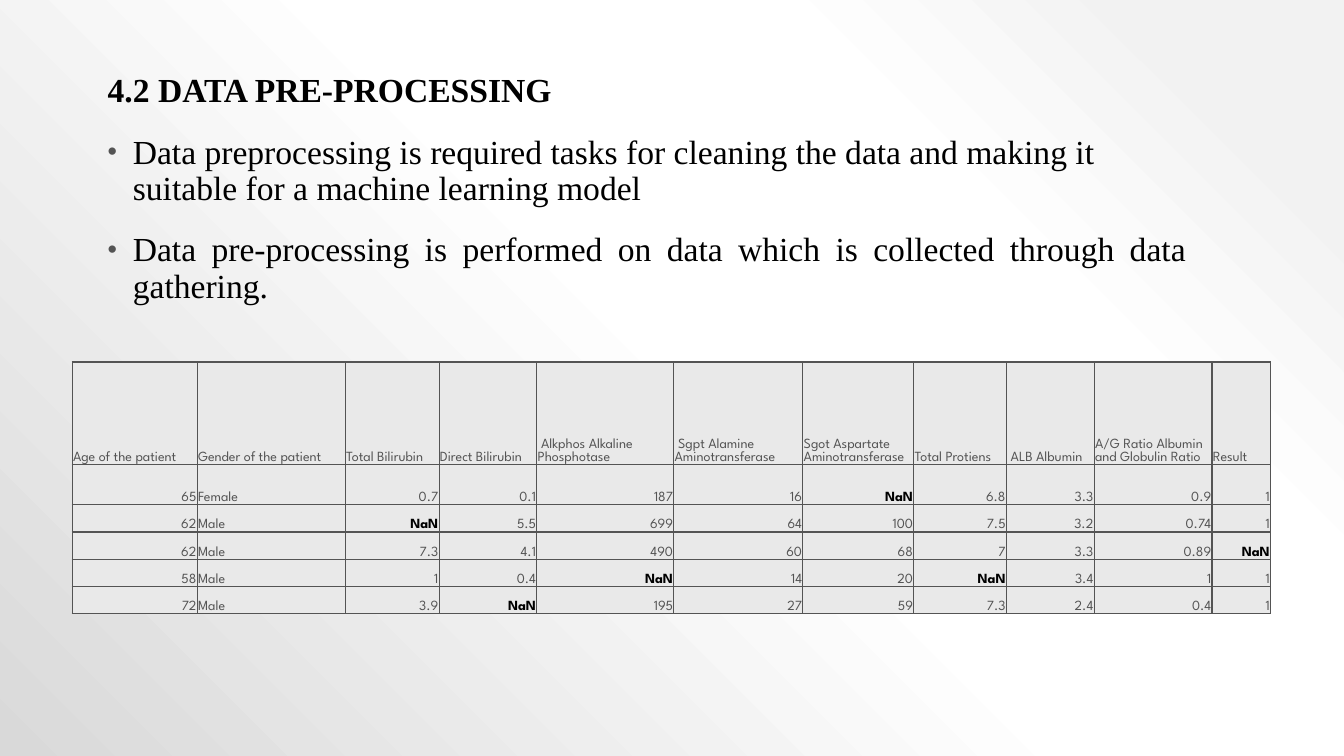
import pptx
import pptx.dml.color
import pptx.enum.text
import pptx.oxml
import pptx.oxml.ns
import pptx.util

Pt = pptx.util.Pt
ALIGN = pptx.enum.text.PP_ALIGN
NAMESPACES = pptx.oxml.ns.nsdecls("a", "p")

BLACK, GREY, CELL_FILL = "000000", "545454", "E9E9E9"
BODY_FONT, TABLE_FONT = "Times New Roman", "League Spartan"
BACKGROUND_STOPS = [(10, "F2F2F2"), (28, "FFFFFF"), (48, "FFFFFF"), (100, "D9D9D9")]

HEADING = "4.2 DATA PRE-PROCESSING"
BULLETS = [
    ("Data preprocessing is required tasks for cleaning the data and making it "
     "suitable for a machine learning model", ALIGN.LEFT),
    ("Data pre-processing is performed on data which is collected through data "
     "gathering.", ALIGN.JUSTIFY),
]
COLUMNS = [
    ("Age of the patient", 89.3), ("Gender of the patient", 105.8),
    ("Total Bilirubin", 67), ("Direct Bilirubin", 69.8),
    (" Alkphos Alkaline Phosphotase", 97.9),
    (" Sgpt Alamine Aminotransferase", 92.2),
    ("Sgot Aspartate Aminotransferase", 79.2), ("Total Protiens", 66.2),
    (" ALB Albumin", 62.7), ("A/G Ratio Albumin and Globulin Ratio", 84.2),
    ("Result", 41.8),
]
PATIENTS = [
    ("65", "Female", "0.7", "0.1", "187", "16", "NaN", "6.8", "3.3", "0.9", "1"),
    ("62", "Male", "NaN", "5.5", "699", "64", "100", "7.5", "3.2", "0.74", "1"),
    ("62", "Male", "7.3", "4.1", "490", "60", "68", "7", "3.3", "0.89", "NaN"),
    ("58", "Male", "1", "0.4", "NaN", "14", "20", "NaN", "3.4", "1", "1"),
    ("72", "Male", "3.9", "NaN", "195", "27", "59", "7.3", "2.4", "0.4", "1"),
]
ROW_HEIGHTS = [73.2, 28.8] + [19.4] * 4
GENDER_COLUMN = 1


def color(value):
    return pptx.dml.color.RGBColor.from_string(value)


def add_run(paragraph, text, font, size, fill, bold=False):
    run = paragraph.add_run()
    run.text = text
    run.font.name = font
    run.font.size = Pt(size)
    run.font.color.rgb = color(fill)
    run.font.bold = bold


def set_background(slide):
    stops = "".join(
        f'<a:gs pos="{position * 1000}"><a:srgbClr val="{value}"/></a:gs>'
        for position, value in BACKGROUND_STOPS)
    background = pptx.oxml.parse_xml(
        f'<p:bg {NAMESPACES}><p:bgPr><a:gradFill rotWithShape="1">'
        f'<a:gsLst>{stops}</a:gsLst><a:path path="circle">'
        '<a:fillToRect l="100000" b="100000"/></a:path></a:gradFill>'
        '<a:effectLst/></p:bgPr></p:bg>')
    slide.element.cSld.insert(0, background)


def indent(paragraph, left, first):
    properties = paragraph._p.get_or_add_pPr()
    properties.set("marL", str(Pt(left)))
    properties.set("indent", str(Pt(first)))
    paragraph.line_spacing = 0.9
    paragraph.space_before = Pt(18)
    return properties


def add_bullet(properties):
    for markup in (f'<a:buClr {NAMESPACES}><a:srgbClr val="{GREY}"/></a:buClr>',
                   f'<a:buSzPct {NAMESPACES} val="80000"/>',
                   f'<a:buFont {NAMESPACES} typeface="Arial"/>',
                   f'<a:buChar {NAMESPACES} char="•"/>'):
        properties.append(pptx.oxml.parse_xml(markup))


def add_body(slide):
    frame = slide.shapes.add_textbox(Pt(66.2), Pt(49), Pt(788.4), Pt(481.7)).text_frame
    frame.word_wrap = True
    heading = frame.paragraphs[0]
    indent(heading, 3.6, 0)
    add_run(heading, HEADING, BODY_FONT, 24, BLACK, True)
    for text, alignment in BULLETS:
        paragraph = frame.add_paragraph()
        paragraph.alignment = alignment
        add_bullet(indent(paragraph, 21.6, -18))
        add_run(paragraph, text, BODY_FONT, 24, BLACK)


def fill_cell(cell, text, alignment):
    cell.vertical_anchor = pptx.enum.text.MSO_ANCHOR.BOTTOM
    cell.margin_left = cell.margin_right = cell.margin_top = Pt(0.6)
    cell.margin_bottom = Pt(0)
    properties = cell._tc.get_or_add_tcPr()
    for side in "LRTB":
        properties.append(pptx.oxml.parse_xml(
            f'<a:ln{side} {NAMESPACES} w="{Pt(1)}"><a:solidFill>'
            f'<a:srgbClr val="{GREY}"/></a:solidFill></a:ln{side}>'))
    cell.fill.solid()
    cell.fill.fore_color.rgb = color(CELL_FILL)
    paragraph = cell.text_frame.paragraphs[0]
    paragraph.alignment = alignment
    missing = text == "NaN"
    add_run(paragraph, text, TABLE_FONT, 10, BLACK if missing else GREY, missing)


def add_patient_table(slide):
    headers, widths = zip(*COLUMNS)
    rows = [headers] + PATIENTS
    table = slide.shapes.add_table(
        len(rows), len(headers), Pt(51.6), Pt(258.6),
        Pt(sum(widths)), Pt(sum(ROW_HEIGHTS))).table
    for column, width in zip(table.columns, widths):
        column.width = Pt(width)
    for row, height in zip(table.rows, ROW_HEIGHTS):
        row.height = Pt(height)
    for row_index, values in enumerate(rows):
        for column_index, text in enumerate(values):
            is_label = row_index == 0 or column_index == GENDER_COLUMN
            fill_cell(table.cell(row_index, column_index), text,
                      ALIGN.LEFT if is_label else ALIGN.RIGHT)


def main():
    presentation = pptx.Presentation()
    presentation.slide_width, presentation.slide_height = Pt(960), Pt(540)
    slide = presentation.slides.add_slide(presentation.slide_layouts[6])
    set_background(slide)
    add_body(slide)
    add_patient_table(slide)
    presentation.save("out.pptx")


if __name__ == "__main__":
    main()
